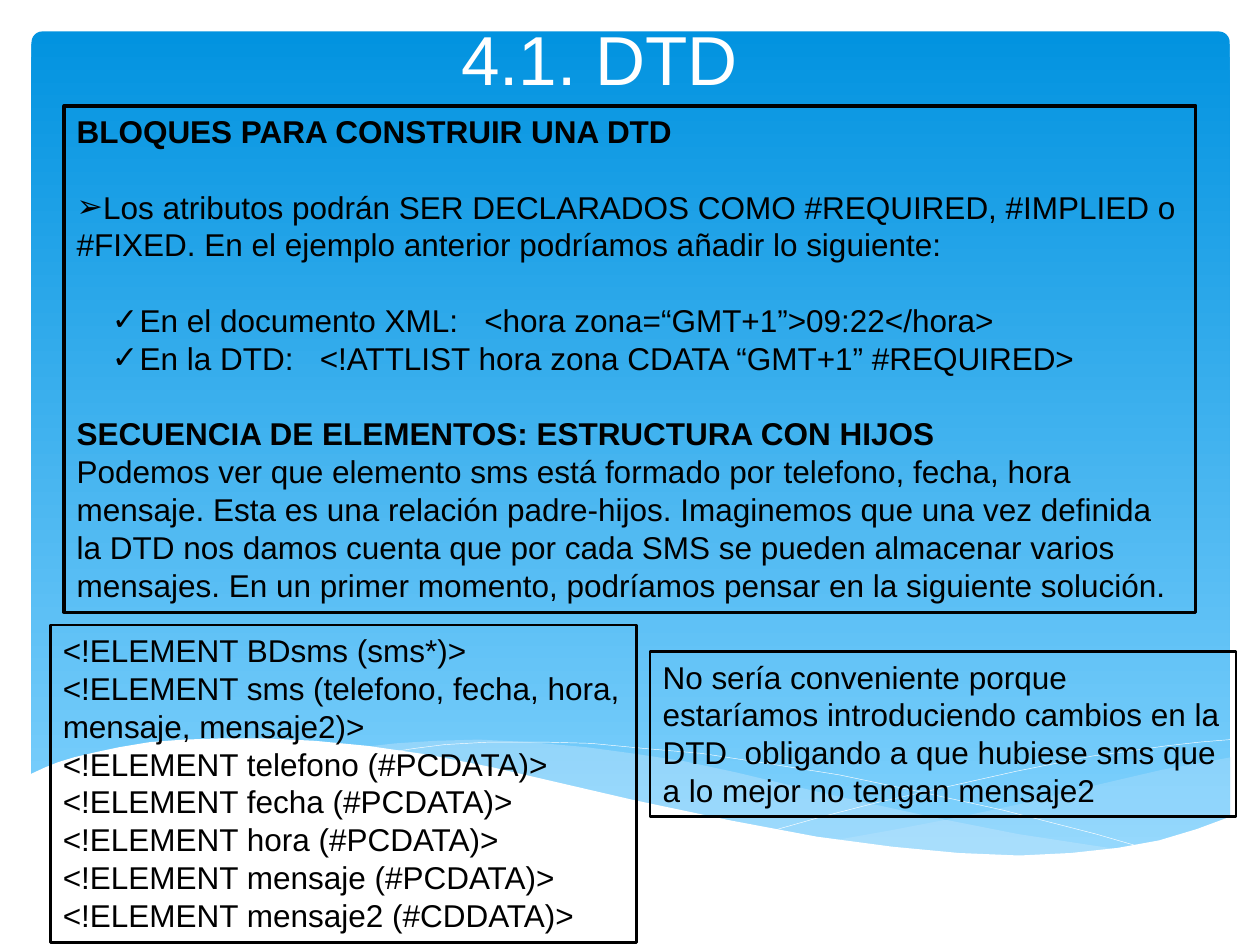
from lxml import etree
from pptx import Presentation
from pptx.dml.color import RGBColor
from pptx.enum.shapes import MSO_SHAPE
from pptx.enum.text import MSO_ANCHOR, MSO_AUTO_SIZE, PP_ALIGN
from pptx.oxml.ns import qn
from pptx.util import Inches, Pt

RECTANGLE, ROUNDED = MSO_SHAPE.RECTANGLE, MSO_SHAPE.ROUNDED_RECTANGLE
TOP, BOTTOM = MSO_ANCHOR.TOP, MSO_ANCHOR.BOTTOM
LEFT, CENTER = PP_ALIGN.LEFT, PP_ALIGN.CENTER
NO_AUTOFIT = MSO_AUTO_SIZE.NONE
TITLE_ONLY = 5
COLORS = {"sky_top": "0293E0", "sky_bottom": "83D3FE", "mist": "C6E7FC",
          "white": "FFFFFF", "black": "000000"}
FONT = "Arial"
GAP = Pt(21.6)

# Content: each paragraph is (text, options)
TITLE = "4.1. DTD"
CHECK = {"bullet": "✓", "margin": 0.5, "indent": -0.22}
BOXES = [
    {"at": (0.51, 0.84, 8.98, 4.02), "line": 2, "paragraphs": [
        ("BLOQUES PARA CONSTRUIR UNA DTD", {"bold": True}),
        ("Los atributos podrán SER DECLARADOS COMO #REQUIRED, #IMPLIED o #FIXED. "
         "En el ejemplo anterior podríamos añadir lo siguiente:",
         {"bullet": "➢", "gap": True}),
        ("En el documento XML:   <hora zona=“GMT+1”>09:22</hora>", {**CHECK, "gap": True}),
        ("En la DTD:   <!ATTLIST hora zona CDATA “GMT+1” #REQUIRED>", CHECK),
        ("SECUENCIA DE ELEMENTOS: ESTRUCTURA CON HIJOS", {"bold": True, "gap": True}),
        ("Podemos ver que elemento sms está formado por telefono, fecha, hora mensaje. "
         "Esta es una relación padre-hijos. Imaginemos que una vez definida la DTD nos "
         "damos cuenta que por cada SMS se pueden almacenar varios mensajes. En un primer "
         "momento, podríamos pensar en la siguiente solución.", {}),
    ]},
    {"at": (0.4, 4.96, 4.65, 2.52), "line": 1.5, "paragraphs": [
        (f"<!ELEMENT {element}>", {}) for element in (
            "BDsms (sms*)", "sms (telefono, fecha, hora, mensaje, mensaje2)",
            "telefono (#PCDATA)", "fecha (#PCDATA)", "hora (#PCDATA)",
            "mensaje (#PCDATA)", "mensaje2 (#CDDATA)")
    ]},
    {"at": (5.16, 5.17, 4.65, 1.31), "line": 1.5, "paragraphs": [
        ("No sería conveniente porque estaríamos introduciendo cambios en la DTD  "
         "obligando a que hubiese sms que a lo mejor no tengan mensaje2", {}),
    ]},
]

# Waves at the foot of the sky, outlines in inches
WAVES = [
    {"fill": "mist", "alpha": 29, "points": [
        (9.77, 6.01), (9.5, 6.06), (9.22, 6.11), (8.92, 6.18), (8.62, 6.25), (8.06, 6.39),
        (7.54, 6.5), (7.07, 6.59), (6.62, 6.67), (6.92, 6.71), (7.33, 6.76), (7.7, 6.79),
        (8.04, 6.8), (8.36, 6.79), (8.64, 6.77), (8.9, 6.74), (9.14, 6.69), (9.37, 6.63),
        (9.64, 6.54), (9.77, 6.49)]},
    {"fill": "mist", "alpha": 40, "points": [
        (8.94, 6.75), (8.67, 6.71), (8.08, 6.62), (7.42, 6.49), (6.69, 6.33), (6.3, 6.24),
        (5.84, 6.13), (5.42, 6.04), (5.02, 5.98), (4.65, 5.93), (4.2, 5.89), (3.8, 5.87),
        (3.45, 5.88), (3.14, 5.9), (2.87, 5.93), (3.23, 5.98), (3.63, 6.04), (4.05, 6.13),
        (4.5, 6.24), (5.3, 6.42), (5.85, 6.54), (6.35, 6.63), (6.81, 6.7), (7.23, 6.76),
        (7.62, 6.79), (7.97, 6.8), (8.39, 6.8), (8.68, 6.78)]},
    {"line": "white", "points": [
        (3.1, 5.97), (3.29, 5.94), (3.53, 5.91), (3.88, 5.89), (4.33, 5.89), (4.69, 5.9),
        (5.11, 5.94), (5.57, 5.98), (6.09, 6.06), (6.66, 6.15), (7.28, 6.28), (7.96, 6.43),
        (8.7, 6.62), (9.08, 6.73)]},
    {"line": "white", "points": [
        (6.14, 6.59), (6.53, 6.48), (6.96, 6.37), (7.49, 6.25), (8.07, 6.12), (8.67, 6),
        (8.97, 5.96), (9.25, 5.92), (9.52, 5.89), (9.76, 5.87)]},
    {"fill": "white", "points": [
        (9.77, 6.48), (9.5, 6.58), (9.2, 6.67), (8.87, 6.73), (8.5, 6.77), (8.09, 6.79),
        (7.61, 6.77), (7.08, 6.72), (6.48, 6.64), (5.79, 6.51), (5.03, 6.35), (4.47, 6.22),
        (3.91, 6.09), (3.4, 5.99), (2.92, 5.92), (2.5, 5.88), (2.11, 5.86), (1.77, 5.86),
        (1.46, 5.87), (1.19, 5.89), (0.95, 5.93), (0.76, 5.97), (0.59, 6.01), (0.46, 6.05),
        (0.36, 6.09), (0.23, 6.15), (0.23, 7.31), (9.77, 7.31)]},
]


def rgb(name):
    return RGBColor.from_string(COLORS[name])


def place(at):
    return [Inches(length) for length in at]


def set_attributes(target, values):
    for name, value in values.items():
        setattr(target, name, value)


def write(paragraph, text, size, color, bold=False):
    run = paragraph.add_run()
    run.text = text
    set_attributes(run.font, {"name": FONT, "size": Pt(size), "bold": bold})
    run.font.color.rgb = rgb(color)


def add_wave(shapes, wave):
    points = [(x * 100, y * 100) for x, y in wave["points"]]
    builder = shapes.build_freeform(*points[0], scale=Inches(0.01))
    builder.add_line_segments(points[1:], close="fill" in wave)
    shape = builder.convert_to_shape()
    shape.shadow.inherit = False
    if "fill" in wave:
        shape.fill.solid()
        shape.fill.fore_color.rgb = rgb(wave["fill"])
        shape.line.fill.background()
    else:
        shape.fill.background()
        shape.line.color.rgb = rgb(wave["line"])
        shape.line.width = Pt(0.25)
    if "alpha" in wave:
        color = shape.element.spPr.find(f"{qn('a:solidFill')}/{qn('a:srgbClr')}")
        etree.SubElement(color, qn("a:alpha"), val=str(wave["alpha"] * 1000))


def add_box(shapes, box):
    shape = shapes.add_shape(RECTANGLE, *place(box["at"]))
    shape.shadow.inherit = False
    shape.fill.background()
    shape.line.color.rgb = rgb("black")
    shape.line.width = Pt(box["line"])
    frame = shape.text_frame
    set_attributes(frame, {"word_wrap": True, "vertical_anchor": TOP})
    for index, (text, options) in enumerate(box["paragraphs"]):
        paragraph = frame.add_paragraph() if index else frame.paragraphs[0]
        set_attributes(paragraph, {
            "alignment": LEFT, "line_spacing": 1.0,
            "space_before": GAP if options.get("gap") else Pt(0)})
        write(paragraph, text, 18, "black", options.get("bold", False))
        if "bullet" in options:
            properties = paragraph._p.get_or_add_pPr()
            properties.set("marL", str(Inches(options.get("margin", 0))))
            properties.set("indent", str(Inches(options.get("indent", 0))))
            etree.SubElement(properties, qn("a:buFont"), typeface=FONT)
            etree.SubElement(properties, qn("a:buChar"), char=options["bullet"])


presentation = Presentation()
presentation.slide_width, presentation.slide_height = Inches(10), Inches(7.5)
slide = presentation.slides.add_slide(presentation.slide_layouts[TITLE_ONLY])
shapes = slide.shapes

# Background
sky = shapes.add_shape(ROUNDED, *place((0.25, 0.25, 9.51, 6.6)))
sky.adjustments[0] = 0.013
sky.shadow.inherit = False
sky.line.fill.background()
sky.fill.gradient()
sky.fill.gradient_angle = 270
for stop, position, name in zip(sky.fill.gradient_stops, (0, 1), ("sky_top", "sky_bottom")):
    stop.position = position
    stop.color.rgb = rgb(name)
for wave in WAVES:
    add_wave(shapes, wave)

# Title, brought in front of the background
title = shapes.title
title.element.getparent().append(title.element)
set_attributes(title, dict(zip(("left", "top", "width", "height"),
                               place((0.51, 0.29, 8.5, 0.55)))))
set_attributes(title.text_frame, {"word_wrap": True, "vertical_anchor": BOTTOM,
                                  "auto_size": NO_AUTOFIT})
title.text_frame.paragraphs[0].alignment = CENTER
write(title.text_frame.paragraphs[0], TITLE, 39.6, "white")

# Text boxes
for box in BOXES:
    add_box(shapes, box)

presentation.save("out.pptx")
